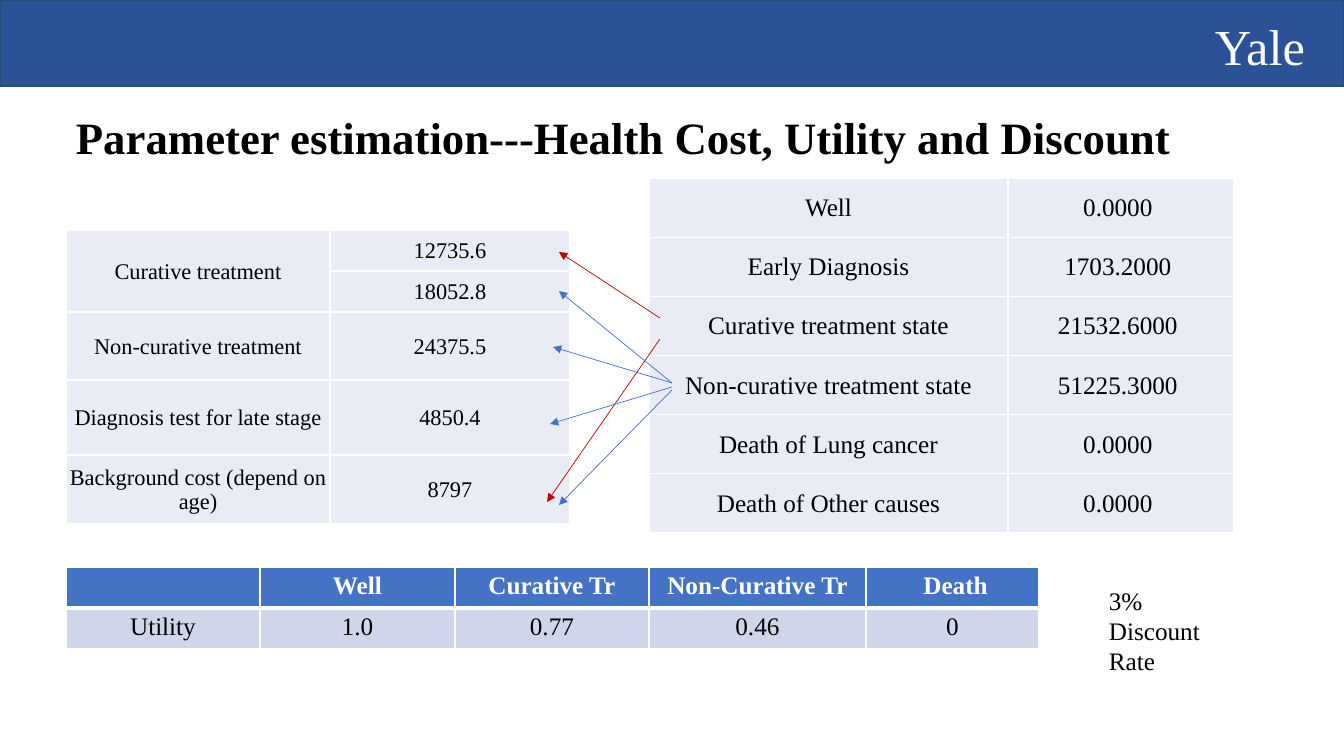
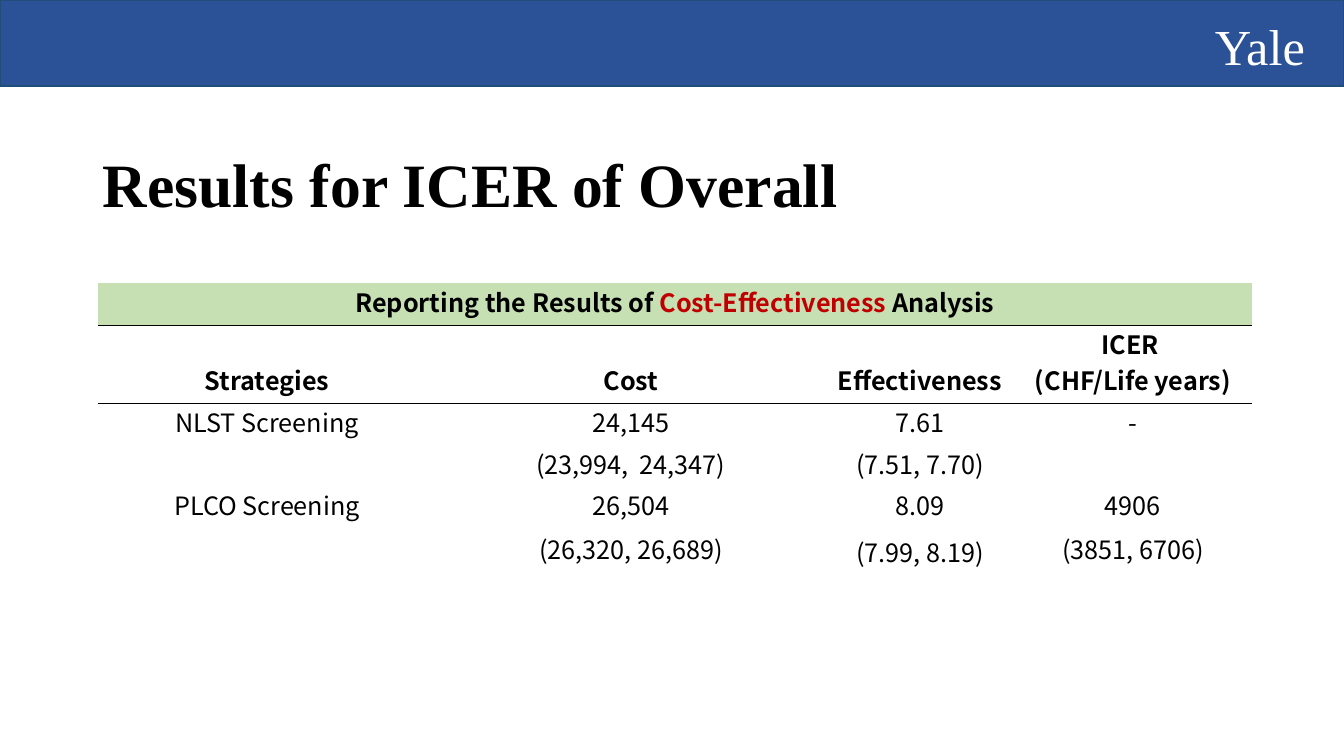
from lxml.etree import SubElement
from pptx import Presentation
from pptx.dml.color import RGBColor
from pptx.enum.shapes import MSO_CONNECTOR as Connector, MSO_SHAPE as Shape
from pptx.enum.text import MSO_ANCHOR as Anchor, PP_ALIGN as Align
from pptx.oxml.ns import qn
from pptx.util import Emu, Pt

EMU_PER_PX = 914400 / 100.8
SERIF, SANS = "Times New Roman", "Noto Sans CJK SC"
BLACK, WHITE, RED, BLUE = "000000", "FFFFFF", "C00000", "4472C4"
BAND, BAND_EDGE = "2B5197", "1F4E79"
PALE, PALE_BLUE, GREEN = "E9EBF5", "CFD5EA", "C6E0B4"

WHITE_GRID = dict.fromkeys("LRTB", (WHITE, 1))
RULE = (BLACK, 0.5)
TIGHT = {"margin_left": 1, "margin_right": 1, "margin_top": 1, "margin_bottom": 0}
FLUSH = {"margin_left": 0, "margin_right": 0, "margin_top": 0, "margin_bottom": 5}


def px(length):
    return Emu(round(length * EMU_PER_PX))


def color(code):
    return RGBColor.from_string(code)


def set_all(target, values):
    for name, value in values.items():
        setattr(target, name, value)


def paint(fill, code):
    fill.solid()
    fill.fore_color.rgb = color(code)


def add_span(para, text, size, code=BLACK, bold=False, font=SERIF):
    span = para.add_run()
    span.text = text
    set_all(span.font, {"name": font, "size": Pt(size), "bold": bold})
    span.font.color.rgb = color(code)


def add_text(page, at, text, size, code=BLACK, bold=False, anchor=Anchor.TOP, spacing=1.0):
    box = page.shapes.add_textbox(*map(px, at))
    set_all(box.text_frame, {"word_wrap": True, "vertical_anchor": anchor})
    para = box.text_frame.paragraphs[0]
    para.line_spacing = spacing
    add_span(para, text, size, code, bold)


def add_page(deck, title, left, top, size):
    page = deck.slides.add_slide(deck.slide_layouts[6])
    band = page.shapes.add_shape(Shape.RECTANGLE, *map(px, (0, 0, 1344, 86)))
    band.shadow.inherit = False
    paint(band.fill, BAND)
    paint(band.line.fill, BAND_EDGE)
    band.line.width = Pt(1)
    add_text(page, (1205, 10, 120, 72), "Yale", 36, WHITE)
    add_text(page, (left, top, 1159, 81), title, size, bold=True,
             anchor=Anchor.MIDDLE, spacing=0.9)
    return page


def add_arrow(page, start, end, code):
    arrow = page.shapes.add_connector(Connector.STRAIGHT, *map(px, start + end))
    paint(arrow.line.fill, code)
    arrow.line.width = Pt(0.5)
    SubElement(arrow.line._get_or_add_ln(), qn("a:tailEnd"), type="triangle")
    SubElement(arrow._element.spPr, qn("a:effectLst"))


def add_grid(page, left, top, widths, heights):
    at = (left, top, sum(widths), sum(heights))
    table = page.shapes.add_table(len(heights), len(widths), *map(px, at)).table
    set_all(table, {"first_row": False, "horz_banding": False})
    for column, width in zip(table.columns, widths):
        column.width = px(width)
    for row, height in zip(table.rows, heights):
        row.height = px(height)
    return table


def set_edges(cell, edges):
    properties = cell._tc.get_or_add_tcPr()
    for side in "LRTB":
        code, width = edges.get(side, (None, 0))
        line = SubElement(properties, qn(f"a:ln{side}"), w=str(Pt(width)))
        if code:
            SubElement(SubElement(line, qn("a:solidFill")), qn("a:srgbClr"), val=code)
        else:
            SubElement(line, qn("a:noFill"))


def fill_cell(cell, content, size, fill, edges, margins=None, anchor=Anchor.TOP,
              code=BLACK, bold=False, font=SERIF):
    set_edges(cell, edges)
    paint(cell.fill, fill)
    cell.vertical_anchor = anchor
    set_all(cell, {name: px(gap) for name, gap in (margins or {}).items()})
    para = cell.text_frame.paragraphs[0]
    para.alignment = Align.CENTER
    spans = [(content, code)] if isinstance(content, str) else content
    for text, span_code in spans:
        for number, line in enumerate(text.split("\n")):
            if number:
                para.add_line_break()
            if line:
                add_span(para, line, size, span_code, bold, font)


def fill_row(table, index, contents, **look):
    for cell, content in zip(table.rows[index].cells, contents):
        fill_cell(cell, content, **look)


def add_cost_grid(page, left, top, widths, heights, rows, size):
    table = add_grid(page, left, top, widths, heights)
    for index, contents in enumerate(rows):
        fill_row(table, index, contents, size=size, fill=PALE, edges=WHITE_GRID,
                 margins=TIGHT, anchor=Anchor.MIDDLE)
    return table


def add_utility_grid(page):
    table = add_grid(page, 66, 567, (194, 195, 194, 217, 173), (41, 41))
    thick = (WHITE, 3)
    fill_row(table, 0, ("", "Well", "Curative Tr", "Non-Curative Tr", " Death"), size=18,
             fill=BLUE, edges={**WHITE_GRID, "B": thick}, code=WHITE, bold=True)
    fill_row(table, 1, ("Utility", "1.0", "0.77", "0.46", "0"), size=18,
             fill=PALE_BLUE, edges={**WHITE_GRID, "T": thick})


def add_parameter_page(deck):
    page = add_page(deck, "Parameter estimation---Health Cost, Utility and Discount",
                    66, 99, 32)
    treatments = add_cost_grid(page, 66, 230, (264, 240), (41, 41, 68, 75, 69), (
        ("Curative treatment", "12735.6"),
        ("", "18052.8"),
        ("Non-curative treatment", "24375.5"),
        ("Diagnosis test for late stage", "4850.4"),
        ("Background cost (depend on age)", "8797"),
    ), 16)
    treatments.cell(0, 0).merge(treatments.cell(1, 0))
    states = {
        "Well": 0,
        "Early Diagnosis": 1703.2,
        "Curative treatment state": 21532.6,
        "Non-curative treatment state": 51225.3,
        "Death of Lung cancer": 0,
        "Death of Other causes": 0,
    }
    add_cost_grid(page, 649, 178, (359, 226), [59.2] * len(states),
                  [(state, f"{cost:.4f} ") for state, cost in states.items()], 18)
    for start, end, code in (
        ((660, 318), (559, 252), RED),
        ((660, 339), (547, 502), RED),
        ((672, 383), (559, 291), BLUE),
        ((672, 383), (553, 347), BLUE),
        ((672, 387), (550, 424), BLUE),
        ((672, 390), (559, 505), BLUE),
    ):
        add_arrow(page, start, end, code)
    add_utility_grid(page)
    add_text(page, (1099, 580, 134, 102), "3% Discount Rate", 18)


def add_results_page(deck):
    page = add_page(deck, "Results for ICER of Overall", 93, 147, 44)
    caption = (("Reporting the Results of ", BLACK), ("Cost-Effectiveness", RED),
               (" Analysis", BLACK))
    rows = (
        (caption, "", "", ""),
        ("Strategies", "Cost", "Effectiveness", "ICER \n(CHF/Life years)"),
        ("NLST Screening", "24,145", "7.61", "-"),
        ("", "(23,994,  24,347)", "(7.51, 7.70)", ""),
        ("PLCO Screening", "26,504", "8.09", "4906"),
        ("", "(26,320, 26,689)", "(7.99, 8.19)", "(3851, 6706)"),
    )
    edges = {0: {"B": RULE}, 1: {"T": RULE, "B": RULE}, 2: {"T": RULE}}
    table = add_grid(page, 98, 283, (338, 390, 188, 238), (42, 78, 42, 41, 42, 47))
    table.cell(0, 0).merge(table.cell(0, 3))
    for index, contents in enumerate(rows):
        heading = index < 2
        for column, content in enumerate(contents):
            low = heading or column in (0, 2)
            fill_cell(table.cell(index, column), content, 18,
                      WHITE if index else GREEN, edges.get(index, {}), FLUSH,
                      Anchor.BOTTOM if low else Anchor.MIDDLE, bold=heading, font=SANS)


def main():
    deck = Presentation()
    set_all(deck, {"slide_width": px(1344), "slide_height": px(756)})
    add_parameter_page(deck)
    add_results_page(deck)
    deck.save("out.pptx")


if __name__ == "__main__":
    main()
